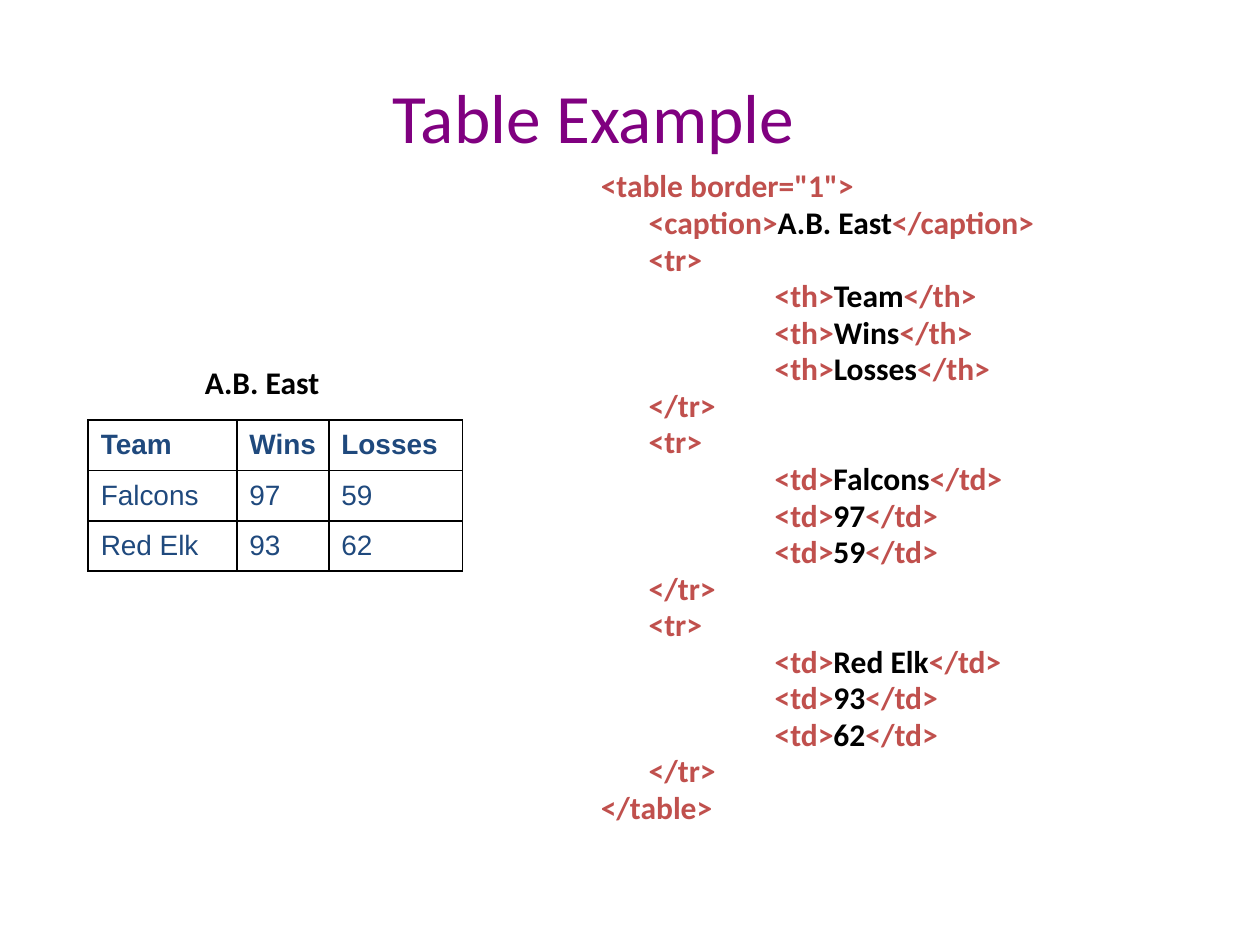
from lxml.etree import SubElement
from pptx import Presentation
from pptx.dml.color import RGBColor
from pptx.enum.text import MSO_ANCHOR, PP_ALIGN
from pptx.oxml.ns import qn
from pptx.util import Inches, Pt

COLORS = {"title": "800080", "tag": "C0504D", "content": "000000",
          "cell": "1F497D", "border": "000000"}
CAPTION = "A.B. East"
STANDINGS = [["Team", "Wins", "Losses"],
             ["Falcons", "97", "59"],
             ["Red Elk", "93", "62"]]


def style(run, size, color, bold=False, font="Calibri"):
    run.font.name = font
    run.font.size = Pt(size)
    run.font.bold = bold
    run.font.color.rgb = RGBColor.from_string(COLORS[color])


def add_text_frame(left, top, width, height, anchor, wrap=True):
    box = slide.shapes.add_textbox(*map(Inches, (left, top, width, height)))
    box.text_frame.word_wrap = wrap
    box.text_frame.vertical_anchor = anchor
    return box.text_frame


deck = Presentation()
deck.slide_width, deck.slide_height = Inches(10), Inches(7.5)
slide = deck.slides.add_slide(deck.slide_layouts[6])

# Title and table caption
for text, area, size, color, bold, wrap in [
        ("Table Example", (1.75, 0.67, 5.92, 0.5), 39.6, "title", False, True),
        (CAPTION, (1.41, 2.83, 1.34, 0.4), 18, "content", True, False)]:
    heading = add_text_frame(*area, MSO_ANCHOR.MIDDLE, wrap)
    heading.text = text
    heading.paragraphs[0].alignment = PP_ALIGN.CENTER
    style(heading.paragraphs[0].runs[0], size, color, bold)

# Markup lines: depth, opening tag, content, closing tag
markup = [(0, '<table border="1">', "", ""),
          (1, "<caption>", CAPTION, "</caption>")]
for row_index, entries in enumerate(STANDINGS):
    tag = "td" if row_index else "th"
    markup.append((1, "<tr>", "", ""))
    markup += [(2, f"<{tag}>", entry, f"</{tag}>") for entry in entries]
    markup.append((1, "</tr>", "", ""))
markup.append((0, "</table>", "", ""))

# Markup listing with a hanging indent and one-inch tab stops
listing = add_text_frame(4.67, 1.33, 4.5, 5.58, MSO_ANCHOR.TOP)
for number, (depth, opening, content, closing) in enumerate(markup):
    line = listing.add_paragraph() if number else listing.paragraphs[0]
    line.line_spacing = 0.8
    line.space_before = Pt(3.6)
    indent = line._p.get_or_add_pPr()
    indent.set("marL", str(Inches(0.38)))
    indent.set("indent", str(-Inches(0.38)))
    indent.set("defTabSz", str(Inches(1)))
    for text, color in [("\t" * depth + opening, "tag"),
                        (content, "content"), (closing, "tag")]:
        if text:
            run = line.add_run()
            run.text = text
            style(run, 18, color, bold=True)

# Standings table
column_widths = [1.18, 0.73, 1.06]
row_height = 0.4
standings = slide.shapes.add_table(
    len(STANDINGS), len(column_widths), Inches(0.7), Inches(10 / 3),
    Inches(sum(column_widths)), Inches(row_height * len(STANDINGS))).table
for column, width in zip(standings.columns, column_widths):
    column.width = Inches(width)
for row_index, entries in enumerate(STANDINGS):
    standings.rows[row_index].height = Inches(row_height)
    for column_index, entry in enumerate(entries):
        cell = standings.cell(row_index, column_index)
        cell.text = entry
        cell.vertical_anchor = MSO_ANCHOR.MIDDLE
        style(cell.text_frame.paragraphs[0].runs[0], 16, "cell",
              bold=row_index == 0, font="Arial")
        # Borders come before the fill in the cell properties
        properties = cell._tc.get_or_add_tcPr()
        for side in ("lnL", "lnR", "lnT", "lnB"):
            border = SubElement(properties, qn(f"a:{side}"), w=str(Pt(1)))
            paint = SubElement(border, qn("a:solidFill"))
            SubElement(paint, qn("a:srgbClr"), val=COLORS["border"])
        SubElement(properties, qn("a:noFill"))

deck.save("out.pptx")
